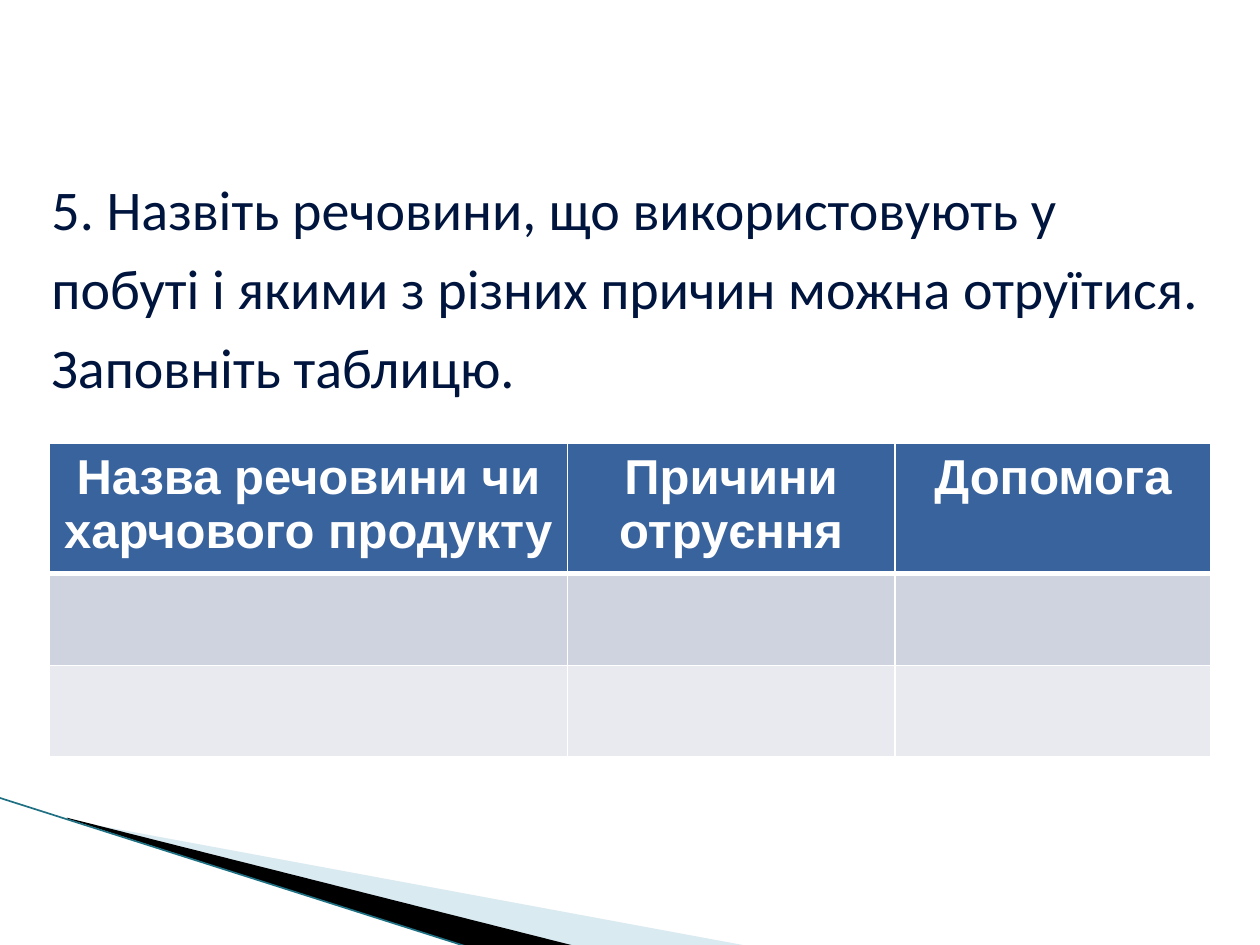
from dataclasses import dataclass

from lxml import etree
from pptx import Presentation
from pptx.dml.color import RGBColor
from pptx.enum.shapes import MSO_CONNECTOR
from pptx.enum.text import MSO_ANCHOR, PP_ALIGN
from pptx.oxml.ns import qn
from pptx.util import Pt

STRAIGHT = MSO_CONNECTOR.STRAIGHT
MIDDLE = MSO_ANCHOR.MIDDLE
CENTER = PP_ALIGN.CENTER
BLANK_LAYOUT = 6


@dataclass(frozen=True)
class Theme:
    task_font: str = "Calibri"
    table_font: str = "Arial"
    task_size: float = 32
    header_size: float = 28
    task_color: str = "00153E"
    white: str = "FFFFFF"
    header_fill: str = "39639D"
    body_fills: tuple[str, ...] = ("CED3DF", "E8EAEF")
    pale_wedge: str = "A0CBDC"
    dark_wedge: str = "000000"
    edge_line: str = "1F7082"


@dataclass(frozen=True)
class Wedge:
    points: tuple[tuple[float, float], ...]
    color: str
    opacity: int = 100


THEME = Theme()
WEDGES = (
    Wedge(((39.6, 468.7), (428.4, 540.7), (328.3, 540.7), (39.6, 468)),
          THEME.pale_wedge, 40),
    Wedge(((38.2, 467.3), (329, 540.7), (267.8, 541.4), (38.9, 468)),
          THEME.dark_wedge),
)
TASK = ("5. Назвіть речовини, що використовують у побуті і якими з різних "
        "причин можна отруїтися. Заповніть таблицю.")
HEADERS = ("Назва речовини чи харчового продукту", "Причини отруєння", "Допомога")
COLUMN_WIDTHS = (295.9, 187.2, 180.7)
ROW_HEIGHTS = (74.2, 52.3, 52.3)
THIN, THICK = 1, 3


def rgb(color: str) -> RGBColor:
    return RGBColor.from_string(color)


def draw_wedge(slide, wedge: Wedge) -> None:
    vertices = [(Pt(x), Pt(y)) for x, y in wedge.points]
    builder = slide.shapes.build_freeform(*vertices[0], scale=1.0)
    builder.add_line_segments(vertices[1:], close=True)
    shape = builder.convert_to_shape()
    shape.shadow.inherit = False
    shape.line.fill.background()
    shape.fill.solid()
    shape.fill.fore_color.rgb = rgb(wedge.color)
    if wedge.opacity < 100:
        color = shape.fill._xPr.find(".//" + qn("a:srgbClr"))
        etree.SubElement(color, qn("a:alpha"), val=str(wedge.opacity * 1000))


def draw_edge_line(slide) -> None:
    line = slide.shapes.add_connector(STRAIGHT, Pt(0), Pt(456), Pt(267), Pt(541))
    line.line.color.rgb = rgb(THEME.edge_line)
    line.line.width = Pt(0.95)
    etree.SubElement(line._element.spPr, qn("a:effectLst"))


def draw_task(slide) -> None:
    box = slide.shapes.add_textbox(Pt(22.3), Pt(90), Pt(680.4), Pt(141.8))
    frame = box.text_frame
    frame.word_wrap = True
    frame.vertical_anchor = MIDDLE
    paragraph = frame.paragraphs[0]
    paragraph.text = TASK
    paragraph.line_spacing = Pt(45)
    paragraph.space_after = Pt(18)
    paragraph.font.name = THEME.task_font
    paragraph.font.size = Pt(THEME.task_size)
    paragraph.font.color.rgb = rgb(THEME.task_color)


def set_borders(cell, top: float, bottom: float) -> None:
    """Add white borders ahead of the cell's fill, as the schema requires."""
    properties = cell._tc.get_or_add_tcPr()
    widths = {"L": THIN, "R": THIN, "T": top, "B": bottom}
    for position, (side, width) in enumerate(widths.items()):
        border = etree.Element(qn(f"a:ln{side}"), w=str(Pt(width)))
        fill = etree.SubElement(border, qn("a:solidFill"))
        etree.SubElement(fill, qn("a:srgbClr"), val=THEME.white)
        properties.insert(position, border)


def draw_table(slide) -> None:
    table = slide.shapes.add_table(
        len(ROW_HEIGHTS), len(COLUMN_WIDTHS), Pt(28.3), Pt(253.4),
        Pt(sum(COLUMN_WIDTHS)), Pt(sum(ROW_HEIGHTS))).table
    for column, width in zip(table.columns, COLUMN_WIDTHS):
        column.width = Pt(width)

    row_fills = (THEME.header_fill, *THEME.body_fills)
    for index, (row, height, color) in enumerate(
            zip(table.rows, ROW_HEIGHTS, row_fills)):
        row.height = Pt(height)
        for cell in row.cells:
            cell.fill.solid()
            cell.fill.fore_color.rgb = rgb(color)
            set_borders(cell, top=THICK if index == 1 else THIN,
                        bottom=THICK if index == 0 else THIN)

    for cell, header in zip(table.rows[0].cells, HEADERS):
        paragraph = cell.text_frame.paragraphs[0]
        paragraph.text = header
        paragraph.alignment = CENTER
        paragraph.font.name = THEME.table_font
        paragraph.font.size = Pt(THEME.header_size)
        paragraph.font.bold = True
        paragraph.font.color.rgb = rgb(THEME.white)


def main() -> None:
    presentation = Presentation()
    presentation.slide_width, presentation.slide_height = Pt(720), Pt(540)
    slide = presentation.slides.add_slide(presentation.slide_layouts[BLANK_LAYOUT])
    for wedge in WEDGES:
        draw_wedge(slide, wedge)
    draw_edge_line(slide)
    draw_task(slide)
    draw_table(slide)
    presentation.save("out.pptx")


if __name__ == "__main__":
    main()
